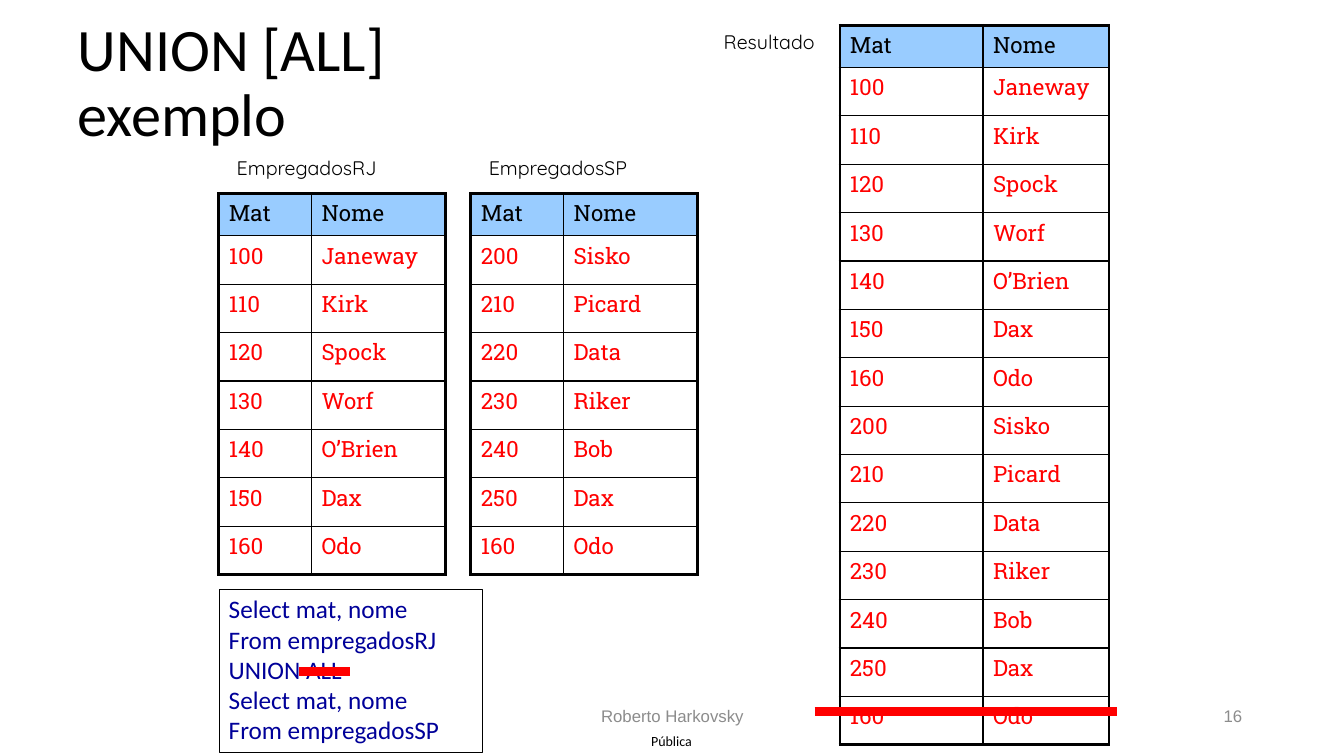
from lxml import etree
from pptx import Presentation
from pptx import util as u
from pptx.dml.color import RGBColor
from pptx.enum import shapes, text
from pptx.oxml import ns

BLACK = RGBColor(0x00, 0x00, 0x00)
WHITE = RGBColor(0xFF, 0xFF, 0xFF)
RED = RGBColor(0xFF, 0x00, 0x00)
GREY = RGBColor(0x8C, 0x8C, 0x8C)
NAVY = RGBColor(0x00, 0x00, 0x99)
SKY = RGBColor(0x99, 0xCC, 0xFF)

HEADER = ("Mat", "Nome")
RIO = [("100", "Janeway"), ("110", "Kirk"), ("120", "Spock"), ("130", "Worf"),
       ("140", "O’Brien"), ("150", "Dax"), ("160", "Odo")]
SAO_PAULO = [("200", "Sisko"), ("210", "Picard"), ("220", "Data"), ("230", "Riker"),
             ("240", "Bob"), ("250", "Dax"), ("160", "Odo")]
QUERY = ["Select mat, nome", "From empregadosRJ", "UNION ALL",
         "Select mat, nome", "From empregadosSP"]
LEFT, CENTER, RIGHT = text.PP_ALIGN.LEFT, text.PP_ALIGN.CENTER, text.PP_ALIGN.RIGHT


class UnionSlide:
    """Draws the elements of the UNION example in one consistent style."""

    outer, inner = u.Pt(2.25), u.Pt(1)
    header_height, row_height = 0.42, 0.48

    def __init__(self, deck):
        self.slide = deck.slides.add_slide(deck.slide_layouts[5])

    def place(self, shape, area):
        shape.left, shape.top, shape.width, shape.height = map(u.Inches, area)

    def add_lines(self, frame, lines, font, size, color, align=LEFT):
        for index, line in enumerate(lines):
            para = frame.paragraphs[0] if index == 0 else frame.add_paragraph()
            para.alignment = align
            for part, words in enumerate(line.split("\n")):
                if part:
                    para.add_line_break()
                span = para.add_run()
                span.text = words
                span.font.name = font
                span.font.size = u.Pt(size)
                span.font.color.rgb = color

    def title(self, words, area):
        box = self.slide.shapes.title
        self.place(box, area)
        frame = box.text_frame
        frame.word_wrap = True
        frame.auto_size = text.MSO_AUTO_SIZE.NONE
        frame.vertical_anchor = text.MSO_ANCHOR.MIDDLE
        self.add_lines(frame, [words], "Calibri", 43, BLACK)
        frame.paragraphs[0].line_spacing = 0.9

    def label(self, words, area, font, size, color=BLACK, align=LEFT, inset=None):
        box = self.slide.shapes.add_textbox(*map(u.Inches, area))
        frame = box.text_frame
        frame.word_wrap = True
        if inset is not None:
            frame.vertical_anchor = text.MSO_ANCHOR.MIDDLE
            frame.margin_left = frame.margin_right = u.Inches(inset)
            frame.margin_top = frame.margin_bottom = u.Inches(inset)
        self.add_lines(frame, [words], font, size, color, align)

    def borders(self, cell, widths):
        properties = cell._tc.get_or_add_tcPr()
        for side, width in zip(("lnL", "lnR", "lnT", "lnB"), widths):
            edge = etree.SubElement(properties, ns.qn(f"a:{side}"), w=str(width))
            fill = etree.SubElement(edge, ns.qn("a:solidFill"))
            etree.SubElement(fill, ns.qn("a:srgbClr"), val=str(BLACK))

    def table(self, records, left, top, columns):
        rows = [HEADER, *records]
        height = self.header_height + self.row_height * len(records)
        area = (left, top, sum(columns), height)
        grid = self.slide.shapes.add_table(
            len(rows), len(columns), *map(u.Inches, area)).table
        for column, width in zip(grid.columns, columns):
            column.width = u.Inches(width)
        for r, row in enumerate(rows):
            grid.rows[r].height = u.Inches(self.row_height if r else self.header_height)
            for c, words in enumerate(row):
                cell = grid.cell(r, c)
                on_edge = (c == 0, c == len(columns) - 1, r == 0, r == len(rows) - 1)
                self.borders(cell, [self.outer if edge else self.inner for edge in on_edge])
                cell.fill.solid()
                cell.fill.fore_color.rgb = WHITE if r else SKY
                self.add_lines(cell.text_frame, [words], "Roboto Slab", 16,
                               RED if r else BLACK)

    def query(self, lines, area):
        box = self.slide.shapes.add_shape(
            shapes.MSO_SHAPE.RECTANGLE, *map(u.Inches, area))
        box.shadow.inherit = False
        box.fill.solid()
        box.fill.fore_color.rgb = WHITE
        box.line.color.rgb = BLACK
        box.line.width = u.Pt(0.25)
        frame = box.text_frame
        frame.word_wrap = True
        frame.vertical_anchor = text.MSO_ANCHOR.TOP
        self.add_lines(frame, lines, "Calibri", 18, NAVY)

    def strike(self, left, right, y):
        line = self.slide.shapes.add_connector(
            shapes.MSO_CONNECTOR.STRAIGHT, *map(u.Inches, (left, y, right, y)))
        line.line.color.rgb = RED
        line.line.width = u.Pt(6)
        etree.SubElement(line._element.spPr, ns.qn("a:effectLst"))


def main():
    deck = Presentation()
    deck.slide_width, deck.slide_height = u.Inches(13.33), u.Inches(7.5)
    page = UnionSlide(deck)
    page.title("UNION [ALL]\nexemplo", (0.67, 0.13, 11, 1.42))
    page.label("Pública", (6.31, 7.21, 0.7, 0.29), "Calibri", 10, align=CENTER, inset=0)
    page.label("Roberto Harkovsky", (4.42, 6.95, 4.5, 0.4), "Arial", 12, GREY, CENTER)
    page.label("16", (9.42, 6.95, 3, 0.4), "Arial", 12, GREY, RIGHT)

    page.table(RIO, 2.17, 1.92, (0.92, 1.33))
    page.table(RIO + SAO_PAULO, 8.33, 0.25, (1.42, 1.25))
    page.table(SAO_PAULO, 4.67, 1.92, (0.92, 1.33))
    for words, left, top, width in (("EmpregadosRJ", 2.25, 1.5, 1.66),
                                    ("Resultado", 7.08, 0.25, 1.16),
                                    ("EmpregadosSP", 4.75, 1.5, 1.67)):
        page.label(words, (left, top, width, 0.33), "Quicksand", 14)

    page.query(QUERY, (2.17, 5.84, 2.61, 1.62))
    page.strike(8.08, 11.08, 7.06)
    page.strike(2.97, 3.47, 6.66)
    deck.save("out.pptx")


if __name__ == "__main__":
    main()
